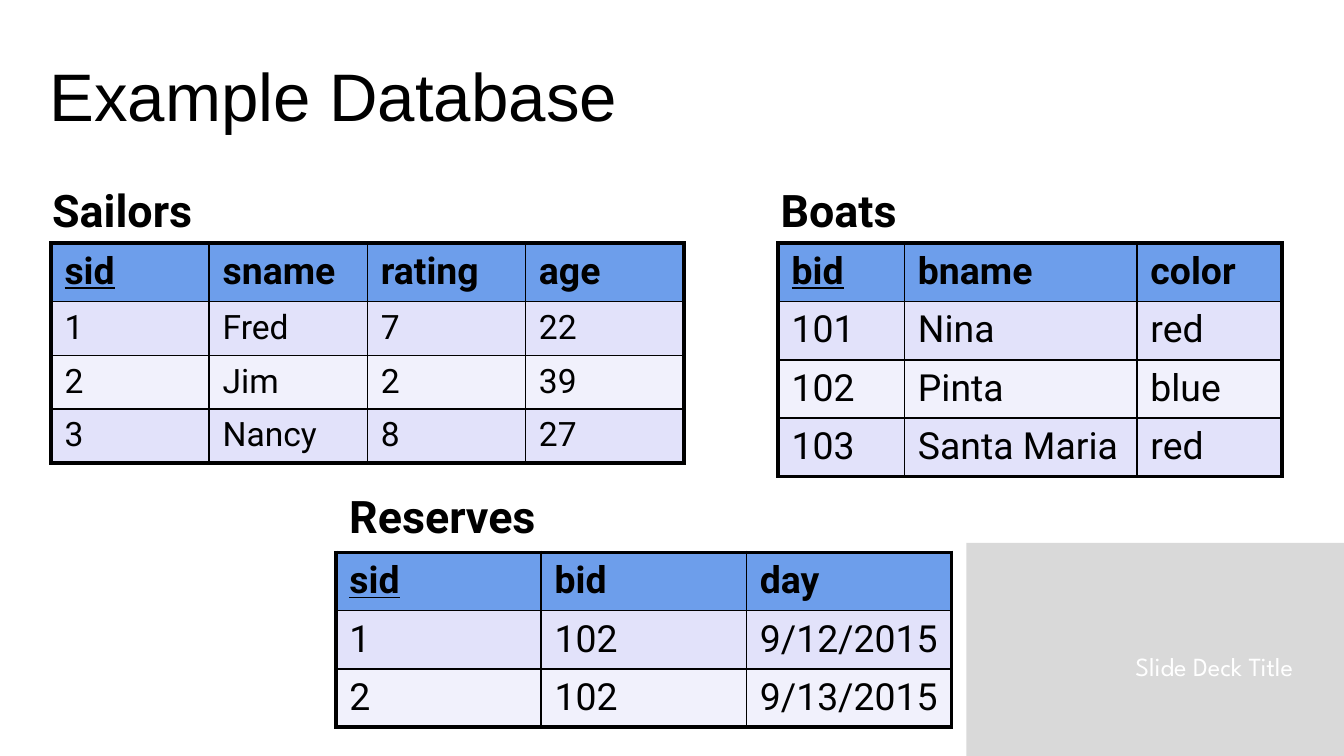
from lxml import etree
from pptx import Presentation
from pptx import util as u
from pptx.dml import color
from pptx.enum import shapes, text
from pptx.oxml import ns

COLUMNS, ROWS = 100, 56.25
HEADER_ROW = 4.3
BLACK, WHITE, GRAY = "000000", "FFFFFF", "D9D9D9"
HEADER, BANDS = "6D9EEB", ("E2E2FA", "F1F1FC")
THIN, THICK = 1, 2.25


def grid(*counts):
    """Convert grid counts, a hundred to the slide's width, to lengths."""
    return [u.Inches(count / 10) for count in counts]


def paint(fill, value):
    """Give a fill one solid colour from a hex string."""
    fill.solid()
    fill.fore_color.rgb = color.RGBColor.from_string(value)


def write(frame, content, size=20, font="Roboto", ink=BLACK, bold=False,
          underline=False, align=text.PP_ALIGN.LEFT):
    """Put one formatted run of text into a text frame."""
    paragraph = frame.paragraphs[0]
    paragraph.alignment = align
    run = paragraph.add_run()
    run.text = content
    run.font.size = u.Pt(size)
    run.font.name = font
    run.font.bold = bold
    run.font.underline = underline
    paint(run.font.fill, ink)


def add_text(slide, box, content, anchor=text.MSO_ANCHOR.TOP, **style):
    """Add a wrapping text box at a place on the grid."""
    frame = slide.shapes.add_textbox(*grid(*box)).text_frame
    frame.word_wrap = True
    frame.vertical_anchor = anchor
    write(frame, content, **style)


def add_panel(slide, box, fill):
    """Add a plain rectangle without an outline."""
    shape = slide.shapes.add_shape(shapes.MSO_SHAPE.RECTANGLE, *grid(*box))
    shape.shadow.inherit = False
    paint(shape.fill, fill)
    shape.line.fill.background()


def add_borders(cell, widths):
    """Draw the left, right, top and bottom lines of a cell."""
    properties = cell._tc.get_or_add_tcPr()
    for index, (side, width) in enumerate(zip("LRTB", widths)):
        line = etree.Element(ns.qn(f"a:ln{side}"), w=str(u.Pt(width)))
        fill = etree.SubElement(line, ns.qn("a:solidFill"))
        etree.SubElement(fill, ns.qn("a:srgbClr"), val=BLACK)
        properties.insert(index, line)


def add_relation(slide, left, top, widths, records, row=HEADER_ROW, size=20):
    """Add a banded table with a header, an underlined key and a thick frame."""
    heights = [HEADER_ROW] + [row] * (len(records) - 1)
    frame = slide.shapes.add_table(
        len(records), len(widths), *grid(left, top, sum(widths), sum(heights)))
    table = frame.table
    table.horz_banding = False
    for column, width in zip(table.columns, grid(*widths)):
        column.width = width
    for table_row, height in zip(table.rows, grid(*heights)):
        table_row.height = height
    last_row, last_column = len(records) - 1, len(widths) - 1
    for r, record in enumerate(records):
        for c, value in enumerate(record):
            cell = table.cell(r, c)
            is_header = r == 0
            write(cell.text_frame, value, size=20 if is_header else size,
                  bold=is_header, underline=is_header and c == 0)
            paint(cell.fill, HEADER if is_header else BANDS[(r - 1) % 2])
            edges = (c == 0, c == last_column, r == 0, r == last_row)
            add_borders(cell, [THICK if edge else THIN for edge in edges])


def main():
    """Build the example database slide."""
    presentation = Presentation()
    presentation.slide_width, presentation.slide_height = grid(COLUMNS, ROWS)
    slide = presentation.slides.add_slide(presentation.slide_layouts[6])

    add_panel(slide, (71.9, 40.4, 28.1, ROWS - 40.4), GRAY)
    add_text(slide, (51, 47.9, 46.2, 3.4), "Slide Deck Title", size=14,
             font="League Spartan", ink=WHITE, align=text.PP_ALIGN.RIGHT)
    add_text(slide, (2.7, 3.4, 77.3, 7.3), "Example Database", size=36,
             font="Arial", anchor=text.MSO_ANCHOR.MIDDLE)

    for name, left, top, width in (("Sailors", 2.9, 13.1, 15.7),
                                   ("Reserves", 25, 35.9, 20.1),
                                   ("Boats", 57.1, 13.1, 13.7)):
        add_text(slide, (left, top, width, 5.1), name, size=24, bold=True)

    add_relation(slide, 3.8, 18.1, [11.77] * 4, [
        ("sid", "sname", "rating", "age"),
        ("1", "Fred", "7", "22"),
        ("2", "Jim", "2", "39"),
        ("3", "Nancy", "8", "27")], row=3.94, size=18)
    add_relation(slide, 25, 41.1, [15.27] * 3, [
        ("sid", "bid", "day"),
        ("1", "102", "9/12/2015"),
        ("2", "102", "9/13/2015")])
    add_relation(slide, 57.9, 18.1, [9.4, 17.3, 10.8], [
        ("bid", "bname", "color"),
        ("101", "Nina", "red"),
        ("102", "Pinta", "blue"),
        ("103", "Santa Maria", "red")])
    presentation.save("out.pptx")


main()
